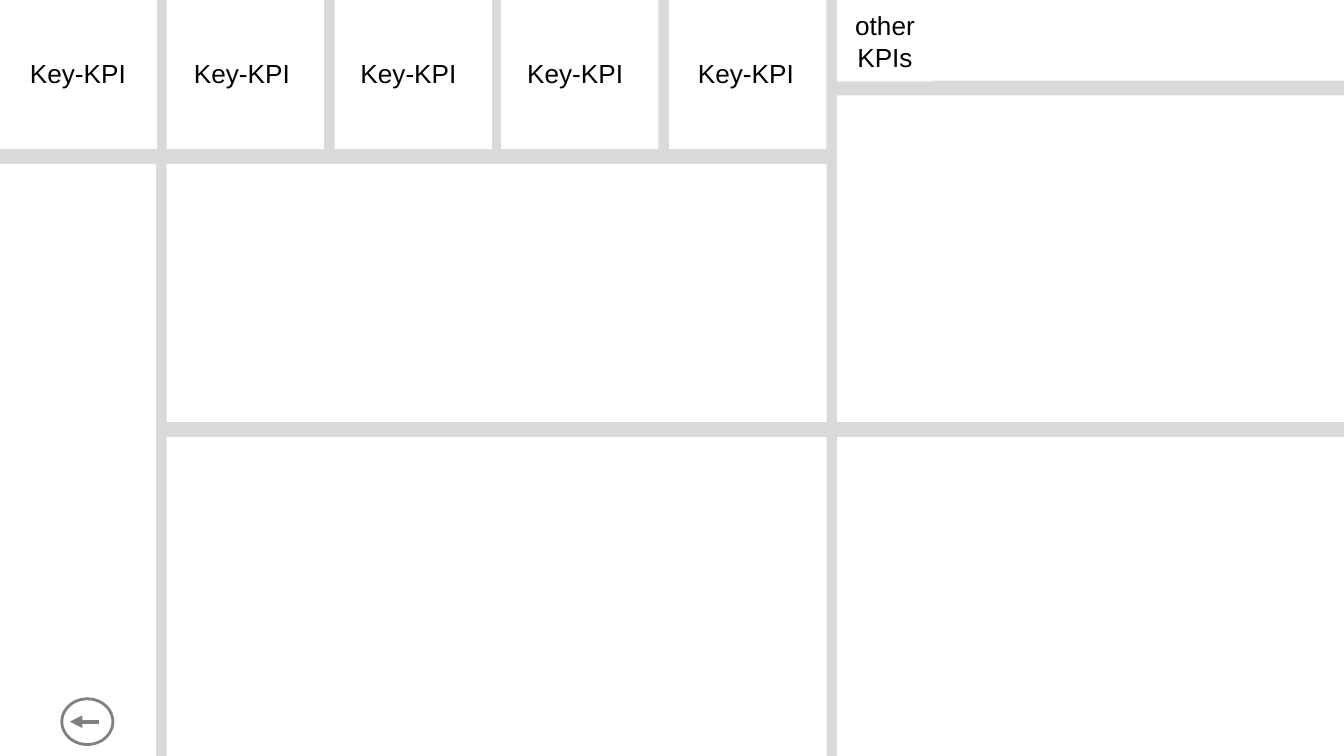
"""Build a dashboard layout slide with KPI tiles, empty panels and a back button."""
import pptx
import pptx.dml.color
import pptx.enum.shapes
import pptx.enum.text
import pptx.oxml.ns
import pptx.util
from lxml import etree

Inches = pptx.util.Inches
Pt = pptx.util.Pt
SHAPES = pptx.enum.shapes.MSO_SHAPE

COLORS = {"gutter": "D9D9D9", "panel": "FFFFFF", "button": "808080", "text": "000000"}

TOP = -0.01
SIDE_LEFT, MAIN_LEFT, RIGHT_LEFT = -0.01, 1.24, 6.23
MAIN_WIDTH, RIGHT_WIDTH = 4.91, 3.77
LOWER_TOP, LOWER_HEIGHT = 3.25, 2.38
KPI_COLUMNS = [
    (-0.01, 1.18, 0.1),
    (1.24, 1.17, 1.32),
    (2.49, 1.17, 2.56),
    (3.73, 1.17, 3.8),
    (4.98, 1.17, 5.07),
]
PANELS = [
    (SIDE_LEFT, 1.22, 1.17, 4.41),
    (MAIN_LEFT, 1.22, MAIN_WIDTH, 1.92),
    (RIGHT_LEFT, 0.71, RIGHT_WIDTH, 2.43),
    (RIGHT_LEFT, LOWER_TOP, RIGHT_WIDTH, LOWER_HEIGHT),
    (MAIN_LEFT, LOWER_TOP, MAIN_WIDTH, LOWER_HEIGHT),
    (RIGHT_LEFT, TOP, RIGHT_WIDTH, 0.61),
]


def rgb(name):
    return pptx.dml.color.RGBColor.from_string(COLORS[name])


def add_panel(slide, left, top, width, height):
    panel = slide.shapes.add_shape(
        SHAPES.RECTANGLE, Inches(left), Inches(top), Inches(width), Inches(height))
    panel.shadow.inherit = False
    panel.fill.solid()
    panel.fill.fore_color.rgb = rgb("panel")
    panel.line.fill.background()
    return panel


def add_label(slide, wording, left, top, width, height):
    label = add_panel(slide, left, top, width, height)
    color = label._element.spPr.find(".//" + pptx.oxml.ns.qn("a:srgbClr"))
    etree.SubElement(color, pptx.oxml.ns.qn("a:alpha"), val="50000")
    frame = label.text_frame
    frame.text = wording
    frame.word_wrap = True
    frame.vertical_anchor = pptx.enum.text.MSO_ANCHOR.MIDDLE
    paragraph = frame.paragraphs[0]
    paragraph.alignment = pptx.enum.text.PP_ALIGN.CENTER
    font = paragraph.runs[0].font
    font.name = "Arial"
    font.size = Pt(14)
    font.color.rgb = rgb("text")


def add_back_button(slide):
    arrow = slide.shapes.add_connector(
        pptx.enum.shapes.MSO_CONNECTOR.STRAIGHT,
        Inches(0.74), Inches(5.37), Inches(0.52), Inches(5.37))
    arrow.line.color.rgb = rgb("button")
    arrow.line.width = Pt(2.25)
    outline = arrow._element.spPr.find(pptx.oxml.ns.qn("a:ln"))
    etree.SubElement(outline, pptx.oxml.ns.qn("a:tailEnd"), type="triangle")
    etree.SubElement(arrow._element.spPr, pptx.oxml.ns.qn("a:effectLst"))
    ring = slide.shapes.add_shape(
        SHAPES.OVAL, Inches(0.46), Inches(5.2), Inches(0.38), Inches(0.34))
    ring.shadow.inherit = False
    ring.fill.background()
    ring.line.color.rgb = rgb("button")
    ring.line.width = Pt(1.5)


def main():
    dashboard = pptx.Presentation()
    dashboard.slide_width = Inches(10)
    dashboard.slide_height = Inches(10 * 9 / 16)
    slide = dashboard.slides.add_slide(dashboard.slide_layouts[6])
    slide.background.fill.solid()
    slide.background.fill.fore_color.rgb = rgb("gutter")
    for panel_box in PANELS:
        add_panel(slide, *panel_box)
    add_back_button(slide)
    add_label(slide, "other KPIs", RIGHT_LEFT, 0, 0.71, 0.61)
    for tile_left, tile_width, label_left in KPI_COLUMNS:
        add_panel(slide, tile_left, TOP, tile_width, 1.12)
        add_label(slide, "Key-KPI", label_left, 0.24, 0.96, 0.61)
    dashboard.save("out.pptx")


main()
